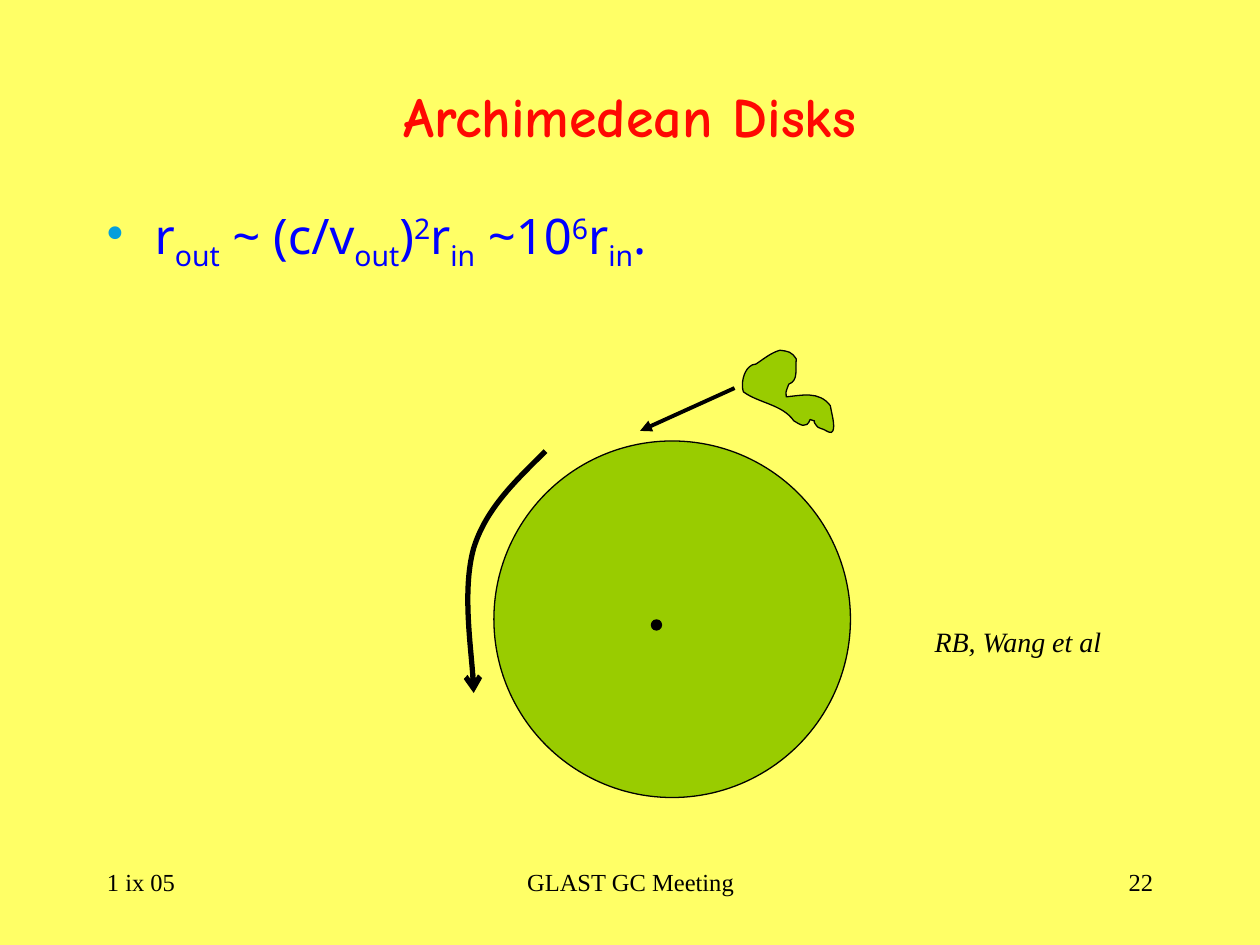
from lxml import etree
from pptx import Presentation
from pptx import util as u
from pptx.dml.color import RGBColor
from pptx.enum import shapes, text
from pptx.oxml.ns import qn

COLORS = {"page": "FFFF66", "title": "FF0802", "body": "0000FF",
          "bullet": "059FDC", "disk": "99CC00", "ink": "000000"}
SERIF = "Times New Roman"
FORMULA = [("r", 0), ("out", -25), (" ~ (c/v", 0), ("out", -25), (")", 0),
           ("2", 30), ("r", 0), ("in", -25), (" ~10", 0), ("6", 30),
           ("r", 0), ("in", -25), (".", 0)]

# Outlines are a start point followed by three control points per curve.
CLOUD = [(0.36, 0.37),
         (0.48, 0.36), (0.62, 0.32), (0.71, 0.44),
         (0.72, 0.50), (0.75, 0.60), (0.73, 0.64),
         (0.72, 0.67), (0.68, 0.64), (0.66, 0.63),
         (0.64, 0.62), (0.62, 0.62), (0.61, 0.61),
         (0.54, 0.53), (0.63, 0.58), (0.55, 0.55),
         (0.52, 0.63), (0.47, 0.59), (0.42, 0.56),
         (0.33, 0.43), (0.14, 0.42), (0.02, 0.33),
         (0.00, 0.27), (0.02, 0.17), (0.07, 0.13),
         (0.08, 0.12), (0.10, 0.11), (0.12, 0.11),
         (0.18, 0.07), (0.24, 0.02), (0.31, 0.00),
         (0.38, 0.01), (0.40, 0.01), (0.44, 0.07),
         (0.43, 0.15), (0.46, 0.24), (0.38, 0.27),
         (0.35, 0.35), (0.36, 0.32), (0.36, 0.37)]
ROTATION = [(0.66, 0), (0.43, 0.23), (0.19, 0.45), (0.09, 0.77),
            (0, 1.09), (0.09, 1.73), (0.09, 1.92)]


def color(name):
    return RGBColor.from_string(COLORS[name])


def set_font(font, ink="ink", **values):
    for key, value in values.items():
        setattr(font, key, value)
    font.color.rgb = color(ink)


def add_text(page, area, words="", align="LEFT", anchor="TOP", wrap=True, **style):
    box = page.shapes.add_textbox(*map(u.Inches, area))
    frame = box.text_frame
    frame.word_wrap = wrap
    frame.vertical_anchor = text.MSO_ANCHOR[anchor]
    para = frame.paragraphs[0]
    para.alignment = text.PP_ALIGN[align]
    if words:
        span = para.add_run()
        span.text = words
        set_font(span.font, **style)
    return para


def add_formula(page, area):
    para = add_text(page, area)
    props = para._p.get_or_add_pPr()
    props.set("marL", str(u.Inches(0.38)))
    props.set("indent", str(u.Inches(-0.38)))
    tint = etree.SubElement(props, qn("a:buClr"))
    etree.SubElement(tint, qn("a:srgbClr"), val=COLORS["bullet"])
    etree.SubElement(props, qn("a:buChar"), char="•")
    for words, baseline in FORMULA:
        span = para.add_run()
        span.text = words
        set_font(span.font, "body", size=u.Pt(28), name="Noto Sans")
        if baseline:
            span.font._element.set("baseline", str(baseline * 1000))


def set_line(shape, width, head=None):
    shape.line.color.rgb = color("ink")
    shape.line.width = u.Pt(width)
    if head:
        etree.SubElement(shape.line._get_or_add_ln(), qn("a:tailEnd"), type=head)


def add_disc(page, left, top, size, fill):
    disc = page.shapes.add_shape(shapes.MSO_SHAPE.OVAL,
                                 *map(u.Inches, (left, top, size, size)))
    disc.shadow.inherit = False
    disc.fill.solid()
    disc.fill.fore_color.rgb = color(fill)
    set_line(disc, 0.75)


def add_curve(page, left, top, points, closed=False):
    """Build an outline, then join each three straight steps into one curve."""
    start, *steps = [(u.Inches(left + x), u.Inches(top + y)) for x, y in points]
    builder = page.shapes.build_freeform(*start)
    builder.add_line_segments(steps, close=closed)
    curve = builder.convert_to_shape()
    lines = list(curve._element.iter(qn("a:lnTo")))
    for first in range(0, len(lines), 3):
        group = lines[first:first + 3]
        bezier = etree.Element(qn("a:cubicBezTo"))
        group[0].addprevious(bezier)
        for line in group:
            bezier.append(line[0])
            line.getparent().remove(line)
    curve.shadow.inherit = False
    return curve


def add_disk_diagram(page, left, top):
    add_disc(page, left + 0.25, top + 0.72, 2.83, "disk")

    cloud = add_curve(page, left + 2.21, top, CLOUD, closed=True)
    cloud.fill.solid()
    cloud.fill.fore_color.rgb = color("disk")
    set_line(cloud, 0.75)

    infall = page.shapes.add_connector(
        shapes.MSO_CONNECTOR.STRAIGHT,
        u.Inches(left + 2.16), u.Inches(top + 0.3),
        u.Inches(left + 1.41), u.Inches(top + 0.64))
    set_line(infall, 2.25, "triangle")
    etree.SubElement(infall._element.spPr, qn("a:effectLst"))

    add_disc(page, left + 1.5, top + 2.14, 0.08, "ink")

    rotation = add_curve(page, left, top + 0.8, ROTATION)
    rotation.fill.background()
    set_line(rotation, 3, "arrow")


def add_footer(page, top, height):
    for left, width, words, align in [(3.42, 3.17, "GLAST GC Meeting", "CENTER"),
                                      (7.17, 2.08, "22", "RIGHT"),
                                      (0.75, 2.08, "1 ix 05", "LEFT")]:
        add_text(page, (left, top, width, height), words, align,
                 size=u.Pt(14), name=SERIF)


def main():
    deck = Presentation()
    deck.slide_width, deck.slide_height = u.Inches(10), u.Inches(7.5)
    page = deck.slides.add_slide(deck.slide_layouts[6])
    page.background.fill.solid()
    page.background.fill.fore_color.rgb = color("page")

    add_text(page, (0.75, 0.5, 8.5, 0.83), "Archimedean Disks", "CENTER", "MIDDLE",
             ink="title", size=u.Pt(32), name="Comic Neue", bold=True)
    add_formula(page, (0.75, 1.58, 8.5, 4.58))
    add_disk_diagram(page, 3.67, 2.78)
    add_text(page, (7.32, 4.91, 1.54, 0.37), "RB, Wang et al", wrap=False,
             size=u.Pt(16), name=SERIF, italic=True)
    add_footer(page, 6.83, 0.5)
    deck.save("out.pptx")


if __name__ == "__main__":
    main()
